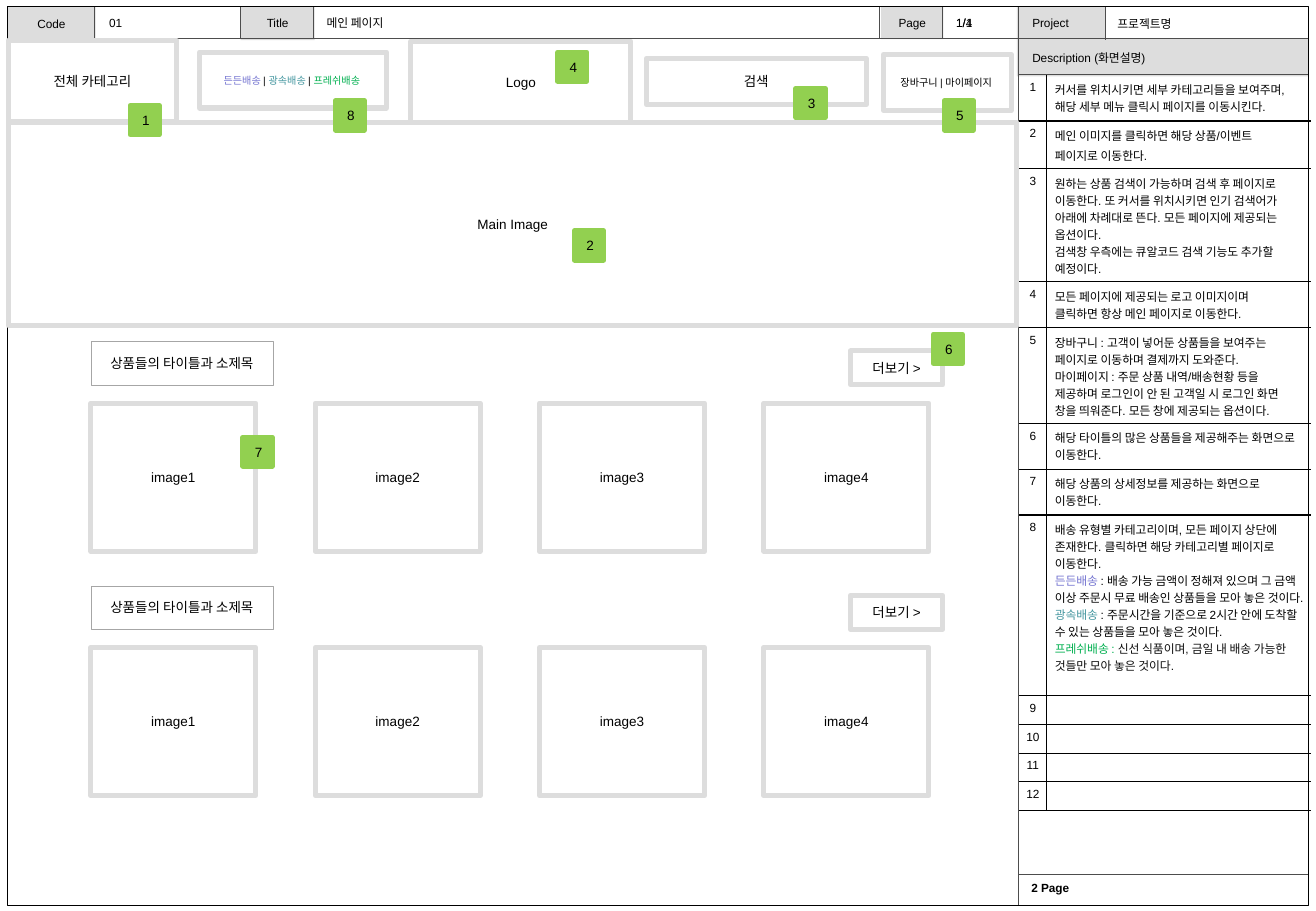
from lxml import etree
from pptx import Presentation
from pptx.dml.color import RGBColor
from pptx.enum.shapes import MSO_CONNECTOR, MSO_SHAPE
from pptx.enum.text import MSO_ANCHOR, PP_ALIGN
from pptx.oxml.ns import qn
from pptx.util import Cm, Pt

STRAIGHT, RECTANGLE = MSO_CONNECTOR.STRAIGHT, MSO_SHAPE.RECTANGLE
LEFT, CENTER, MIDDLE = PP_ALIGN.LEFT, PP_ALIGN.CENTER, MSO_ANCHOR.MIDDLE
BLACK, GREY, GREEN = "000000", "DDDDDD", "92D050"
VIOLET, TEAL, EMERALD = "7575D1", "4597A0", "00B050"
NO_TABLE_STYLE = "{2D5ABB26-0587-4C30-8999-92F81FD0307C}"

FORMATS = {
    "label": {"fill": GREY, "size": 7, "align": CENTER},
    "heading": {"fill": GREY, "size": 7, "align": LEFT, "inset": 0.32},
    "value": {"size": 7, "align": LEFT, "inset": 0.25},
    "footer": {"size": 7, "align": LEFT, "inset": 0.2, "bold": True},
    "rule": {"line": "4D4D4D", "width": 0.75},
    "divider": {"line": "808080", "width": 0.75},
    "border": {"line": BLACK, "width": 0.75},
    "wire": {"line": GREY, "width": 3, "size": 8, "align": CENTER},
    "small wire": {"line": GREY, "width": 3, "size": 6, "align": CENTER},
    "section": {"line": "A6A6A6", "width": 0.25, "size": 8, "align": CENTER},
    "tag": {"fill": GREEN, "line": GREEN, "width": 3, "size": 8, "align": CENTER},
}


def paint(fill, colour):
    """Fill solidly with a hex colour, or leave empty when there is none."""
    if colour:
        fill.solid()
        fill.fore_color.rgb = RGBColor.from_string(colour)
    else:
        fill.background()


def write(paragraph, content, size, bold=False):
    """Write a string, or a list of (text, colour) pairs, where \\n breaks the line."""
    pieces = [(content, BLACK)] if isinstance(content, str) else content
    for text, colour in pieces:
        for number, line in enumerate(text.split("\n")):
            if number:
                paragraph.add_line_break()
            run = paragraph.add_run()
            run.text = line
            for name, value in {"name": "Arial", "size": Pt(size), "bold": bold}.items():
                setattr(run.font, name, value)
            paint(run.font.fill, colour)


prs = Presentation()
prs.slide_width, prs.slide_height = Cm(27.51), Cm(19.05)
slide = prs.slides.add_slide(prs.slide_layouts[6])

# Format, left, top, width, height in cm, text; from back to front
parts = [
    ("heading", 21.26, 0.81, 6.1, 0.79, "Description (화면설명)"),
    ("label", 18.42, 0.13, 1.3, 0.69, "Page"),
    ("label", 5.03, 0.13, 1.55, 0.71, "Title"),
    ("label", 0.15, 0.15, 1.85, 0.69, "Code"),
    ("heading", 21.26, 0.13, 1.85, 0.69, "Project"),
    ("footer", 21.36, 18.31, 5.89, 0.51, "2 Page"),
    ("value", 23.11, 0.2, 4.11, 0.61, "프로젝트명"),
    ("rule", 21.29, 0.13, 0, 18.79, ""),
    ("rule", 0.18, 0.81, 27.18, 0, ""),
    ("rule", 23.11, 0.13, 0, 0.71, ""),
    ("rule", 21.31, 18.29, 6.05, 0, ""),
    ("rule", 21.31, 1.55, 6.05, 0, ""),
]
parts += [("rule", left, 0.15, 0, 0.66, "") for left in (1.98, 5.03, 6.55, 18.39, 19.71)]
parts += [
    ("border", 0.15, 0.13, 27.2, 18.8, ""),
    ("value", 19.74, 0.2, 1.52, 0.56, "1/1"),
    ("value", 6.58, 0.2, 11.73, 0.56, "메인 페이지"),
    ("value", 2.03, 0.2, 2.92, 0.56, "01"),
    ("value", 19.74, 0.2, 1.52, 0.56, "1/4"),
    ("divider", 0.18, 2.57, 21.11, 0, ""),
    ("wire", 0.18, 0.84, 3.51, 1.7, "전체 카테고리"),
    ("small wire", 4.17, 1.09, 3.91, 1.17, [
        ("든든배송 ", VIOLET), ("| ", BLACK), ("광속배송 ", TEAL),
        ("| ", BLACK), ("프레쉬배송", EMERALD), (" ", BLACK)]),
    ("wire", 8.59, 0.86, 4.6, 1.7, "Logo"),
    ("wire", 13.51, 1.22, 4.6, 0.97, "검색"),
    ("small wire", 18.47, 1.14, 2.67, 1.17, "장바구니 | 마이페이지 "),
    ("wire", 0.18, 2.57, 21.08, 4.24, "Main Image"),
]
for section_top in (7.14, 12.25):
    parts += [("wire", 1.9 + 4.69 * i, section_top + 1.29, 3.45, 3.1, f"image{i + 1}")
              for i in range(4)]
    parts += [
        ("section", 1.9, section_top, 3.81, 0.91, "상품들의 타이틀과 소제목"),
        ("wire", 17.78, section_top + 0.2, 1.93, 0.71, "더보기 >"),
    ]
tag_corners = [(2.72, 2.21), (12.01, 4.83), (16.64, 1.85), (11.66, 1.09),
               (19.74, 2.11), (19.51, 6.99), (5.08, 9.14), (7.01, 2.11)]
parts += [("tag", left, top, 0.61, 0.61, str(number))
          for number, (left, top) in enumerate(tag_corners, 1)]

for kind, left, top, width, height, content in parts:
    style = FORMATS[kind]
    place = Cm(left), Cm(top), Cm(width), Cm(height)
    if kind in ("rule", "divider"):
        part = slide.shapes.add_connector(
            STRAIGHT, Cm(left), Cm(top), Cm(left + width), Cm(top + height))
        etree.SubElement(part._element.spPr, qn("a:effectLst"))
    elif kind in ("value", "footer"):
        part = slide.shapes.add_textbox(*place)
    else:
        part = slide.shapes.add_shape(RECTANGLE, *place)
        part.shadow.inherit = False
        paint(part.fill, style.get("fill"))
    paint(part.line.fill, style.get("line"))
    if "width" in style:
        part.line.width = Pt(style["width"])
    if content:
        frame_format = {"word_wrap": True, "vertical_anchor": MIDDLE,
                        "margin_left": Cm(style.get("inset", 0.25))}
        for name, value in frame_format.items():
            setattr(part.text_frame, name, value)
        paragraph = part.text_frame.paragraphs[0]
        paragraph.alignment = style["align"]
        write(paragraph, content, style["size"], style.get("bold", False))

# Row height in cm and paragraphs of each description
descriptions = [
    (0.96, ["커서를 위치시키면 세부 카테고리들을 보여주며, 해당 세부 메뉴 클릭시 페이지를 이동시킨다."]),
    (1, ["메인 이미지를 클릭하면 해당 상품/이벤트", "페이지로 이동한다."]),
    (2.36, ["원하는 상품 검색이 가능하며 검색 후 페이지로 이동한다. 또 커서를 위치시키면 인기 검색어가 "
            "아래에 차례대로 뜬다. 모든 페이지에 제공되는 옵션이다. \n"
            "검색창 우측에는 큐알코드 검색 기능도 추가할 예정이다."]),
    (0.96, ["모든 페이지에 제공되는 로고 이미지이며 \n클릭하면 항상 메인 페이지로 이동한다."]),
    (2, ["장바구니 : 고객이 넣어둔 상품들을 보여주는 페이지로 이동하며 결제까지 도와준다.",
         "마이페이지 : 주문 상품 내역/배송현황 등을 제공하며 로그인이 안 된 고객일 시 로그인 화면 "
         "창을 띄워준다. 모든 창에 제공되는 옵션이다."]),
    (0.96, ["해당 타이틀의 많은 상품들을 제공해주는 화면으로 이동한다."]),
    (0.96, ["해당 상품의 상세정보를 제공하는 화면으로 이동한다."]),
    (3.78, ["배송 유형별 카테고리이며, 모든 페이지 상단에 존재한다. 클릭하면 해당 카테고리별 페이지로 이동한다.",
            [("든든배송 ", VIOLET),
             (": 배송 가능 금액이 정해져 있으며 그 금액 이상 주문시 무료 배송인 상품들을 모아 놓은 것이다.", BLACK)],
            [("광속배송 ", TEAL),
             (": 주문시간을 기준으로 2시간 안에 도착할 수 있는 상품들을 모아 놓은 것이다.", BLACK)],
            [("프레쉬배송 : ", EMERALD),
             ("신선 식품이며, 금일 내 배송 가능한 것들만 모아 놓은 것이다.", "0D0D0D")]]),
] + [(0.6, [])] * 4

table_frame = slide.shapes.add_table(
    len(descriptions), 2, Cm(21.31), Cm(1.57), Cm(6.1),
    Cm(sum(height for height, _ in descriptions)))
table = table_frame.table
table.first_row = table.horz_banding = False
table._tbl.tblPr.find(qn("a:tableStyleId")).text = NO_TABLE_STYLE
table.columns[0].width, table.columns[1].width = Cm(0.56), Cm(5.54)

for row, (height, description) in enumerate(descriptions):
    table.rows[row].height = Cm(height)
    columns = [([str(row + 1)], CENTER, 0.1, "a:lnR"), (description, LEFT, 0.18, "a:lnL")]
    for column, (paragraphs, align, inset, inner_side) in enumerate(columns):
        cell = table.cell(row, column)
        cell.margin_left = cell.margin_right = Cm(inset)
        paint(cell.fill, None)
        cell_properties = cell._tc.get_or_add_tcPr()
        for position, side in enumerate((inner_side, "a:lnB")):
            edge = etree.Element(qn(side), w=str(Pt(0.75)))
            edge_fill = etree.SubElement(edge, qn("a:solidFill"))
            etree.SubElement(edge_fill, qn("a:srgbClr"), val=BLACK)
            cell_properties.insert(position, edge)
        for number, content in enumerate(paragraphs):
            paragraph = cell.text_frame.add_paragraph() if number else cell.text_frame.paragraphs[0]
            paragraph.alignment = align
            if number and row == 1:
                paragraph.space_before = Pt(1.4)
            write(paragraph, content, 7)
        if not paragraphs:
            etree.SubElement(cell.text_frame.paragraphs[0]._p, qn("a:endParaRPr"), sz="700")

prs.save("out.pptx")
